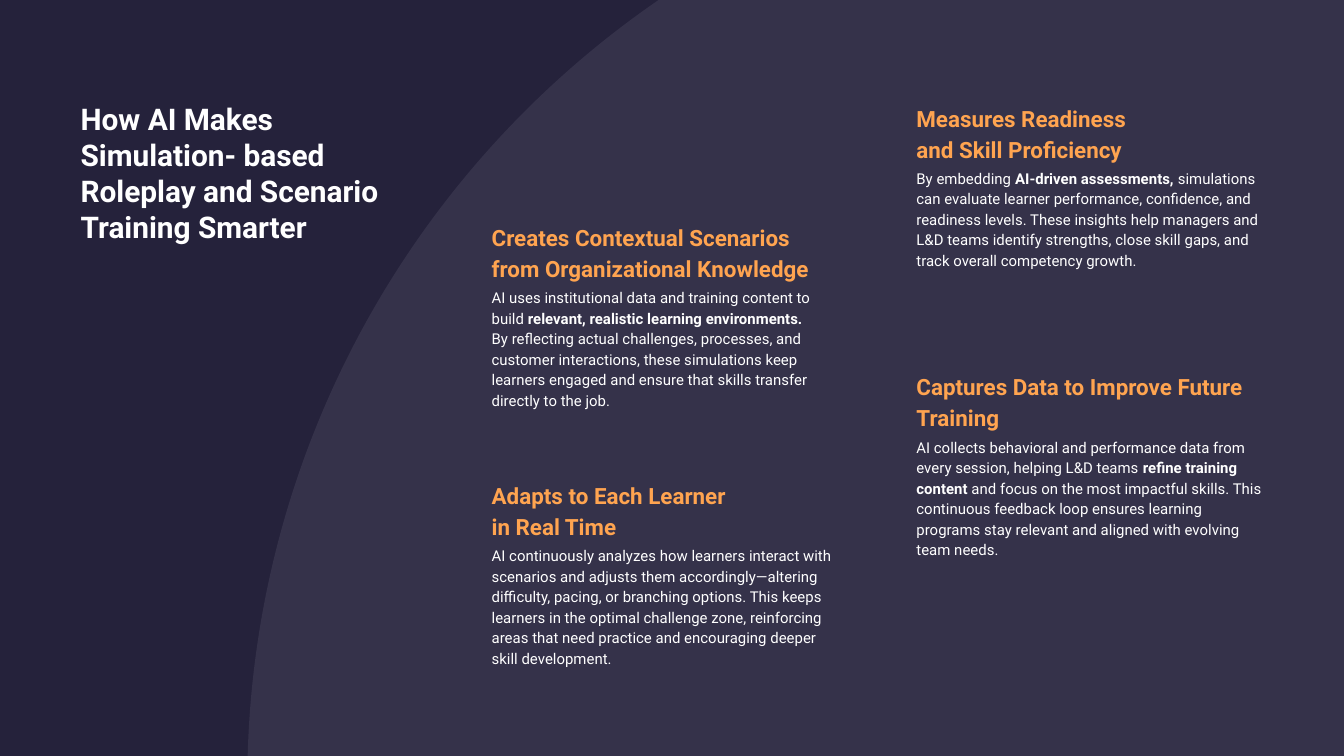
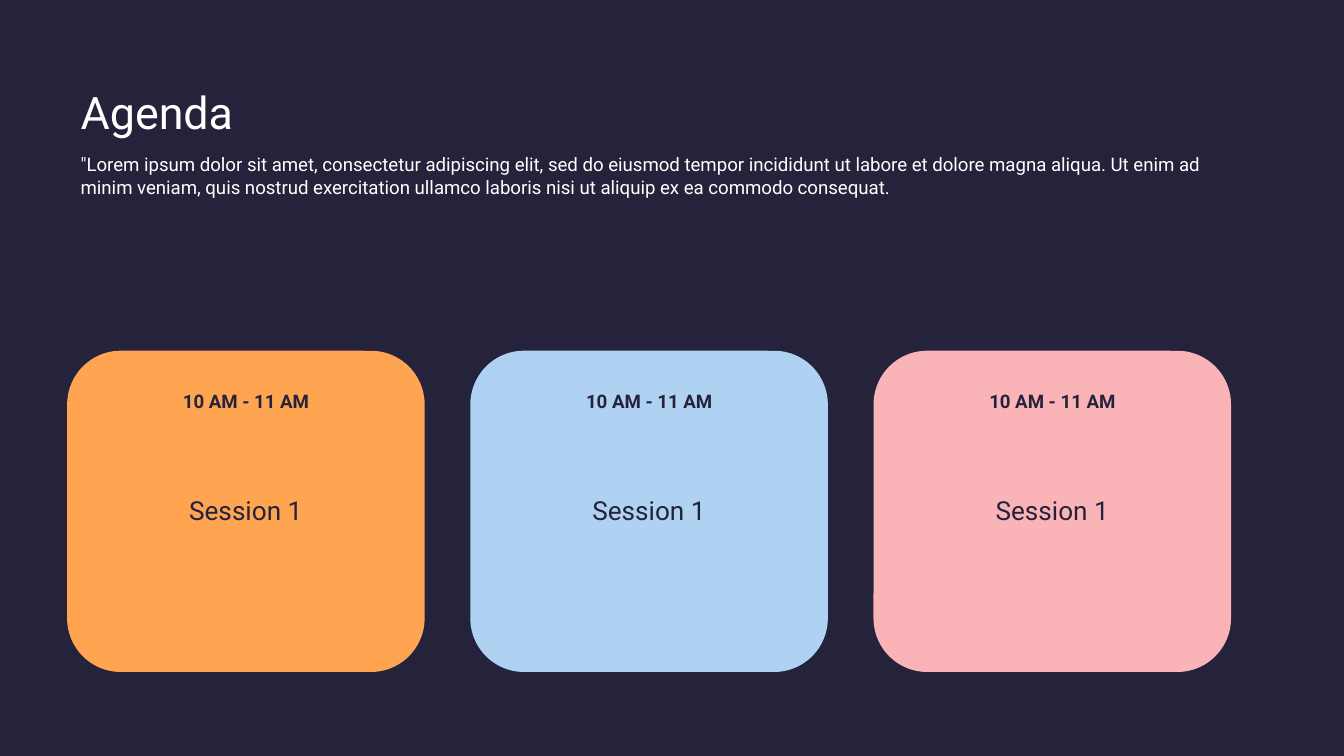
from pptx import Presentation
from pptx import util as u
from pptx.dml.color import RGBColor
from pptx.enum import shapes, text
from pptx.oxml.ns import qn

WIDTH = 10
HEIGHT = WIDTH * 9 / 16
MARGIN = 0.5
NAVY, PLUM, ORANGE = "25223B", "35324A", "FFA450"
BLUE, PINK, WHITE = "AFD2F3", "FAB4B8", "FFFFFF"

TITLE = {"size": 16, "color": WHITE, "bold": True}
HEADING = {"size": 12, "color": ORANGE, "bold": True, "spacing": 1.15}
BODY = {"size": 8, "color": WHITE, "spacing": 1.15}
AGENDA_TITLE = {"size": 24, "color": WHITE}
AGENDA_INTRO = {"size": 10, "color": WHITE}
CARD_TIME = {"size": 10, "color": NAVY, "bold": True, "align": text.PP_ALIGN.CENTER}
CARD_SESSION = {"size": 14, "color": NAVY, "align": text.PP_ALIGN.CENTER}

ROLEPLAY_TITLE = "How AI Makes Simulation- based Roleplay and Scenario Training Smarter"
# Each topic: column, top, body width and height, heading, body with **bold** parts
TOPICS = [
    (0, 1.54, (2.62, 1.11), "Creates Contextual Scenarios from Organizational Knowledge",
     "AI uses institutional data and training content to build **relevant, realistic "
     "learning environments.** By reflecting actual challenges, processes, and customer "
     "interactions, these simulations keep learners engaged and ensure that skills "
     "transfer directly to the job."),
    (1, 0.65, (2.78, 1.11), "Measures Readiness\nand Skill Proficiency",
     "By embedding **AI-driven assessments, **simulations can evaluate learner "
     "performance, confidence, and readiness levels. These insights help managers and "
     "L&D teams identify strengths, close skill gaps, and track overall competency growth."),
    (1, 2.65, (2.78, 1.11), "Captures Data to Improve Future Training",
     "AI collects behavioral and performance data from every session, helping L&D teams "
     "**refine training content** and focus on the most impactful skills. This continuous "
     "feedback loop ensures learning programs stay relevant and aligned with evolving "
     "team needs."),
    (0, 3.46, (2.78, 1.27), "Adapts to Each Learner\nin Real Time",
     "AI continuously analyzes how learners interact with scenarios and adjusts them "
     "accordingly—altering difficulty, pacing, or branching options. This keeps learners "
     "in the optimal challenge zone, reinforcing areas that need practice and encouraging "
     "deeper skill development."),
]
INTRO = ('"Lorem ipsum dolor sit amet, consectetur adipiscing elit, sed do eiusmod tempor '
         "incididunt ut labore et dolore magna aliqua. Ut enim ad minim veniam, quis nostrud "
         "exercitation ullamco laboris nisi ut aliquip ex ea commodo consequat.")
SESSIONS = [
    ("10 AM - 11 AM", "Session 1", ORANGE),
    ("10 AM - 11 AM", "Session 1", BLUE),
    ("10 AM - 11 AM", "Session 1", PINK),
]


def rgb(value):
    return RGBColor.from_string(value)


def inches(*values):
    return [u.Inches(value) for value in values]


def write(shape, content, style):
    """Fill a text shape: one paragraph per line, with **bold** parts."""
    frame = shape.text_frame
    settings = {
        "word_wrap": True,
        "auto_size": text.MSO_AUTO_SIZE.NONE,
        "vertical_anchor": text.MSO_ANCHOR.TOP,
    }
    settings |= {f"margin_{side}": u.Inches(0.1) for side in ("left", "top", "right", "bottom")}
    for name, value in settings.items():
        setattr(frame, name, value)

    for index, line in enumerate(content.split("\n")):
        paragraph = frame.add_paragraph() if index else frame.paragraphs[0]
        paragraph.alignment = style.get("align", text.PP_ALIGN.LEFT)
        paragraph.line_spacing = style.get("spacing", 1.0)
        paragraph.space_before = u.Pt(0)
        for part, words in enumerate(line.split("**")):
            run = paragraph.add_run()
            run.text = words
            font = {"name": "Roboto", "size": u.Pt(style["size"]),
                    "bold": style.get("bold", False) or part % 2 == 1}
            for name, value in font.items():
                setattr(run.font, name, value)
            run.font.color.rgb = rgb(style["color"])


def add_text(slide, box, content, style):
    write(slide.shapes.add_textbox(*inches(*box)), content, style)


def fill_placeholder(placeholder, box, content, style):
    placeholder.left, placeholder.top, placeholder.width, placeholder.height = inches(*box)
    write(placeholder, content, style)


def add_filled(slide, kind, box, color):
    shape = slide.shapes.add_shape(kind, *inches(*box))
    shape.shadow.inherit = False
    shape.fill.solid()
    shape.fill.fore_color.rgb = rgb(color)
    shape.line.fill.background()
    return shape


def add_slide(presentation, layout, background):
    slide = presentation.slides.add_slide(presentation.slide_layouts[layout])
    slide.background.fill.solid()
    slide.background.fill.fore_color.rgb = rgb(background)
    return slide


def build_roleplay(presentation):
    slide = add_slide(presentation, 5, WHITE)
    panel = add_filled(slide, shapes.MSO_SHAPE.RECTANGLE, (-0.06, -0.11, 7.65, 5.77), NAVY)
    circle = add_filled(slide, shapes.MSO_SHAPE.OVAL, (1.84, -1.24, 14.11, 14.11), PLUM)
    for position, backdrop in enumerate((panel, circle), start=2):  # behind the title
        slide.shapes.element.insert(position, backdrop.element)
    fill_placeholder(slide.shapes.title, (MARGIN, 0.65, 2.69, 1.28), ROLEPLAY_TITLE, TITLE)

    first_column, column_step = 3.56, 3.16
    body_offset = 0.49
    for column, top, body_size, heading, body in TOPICS:
        left = first_column + column * column_step
        add_text(slide, (left, top + body_offset, *body_size), body, BODY)
        add_text(slide, (left, top, 2.78, 0.64), heading, HEADING)


def build_agenda(presentation):
    slide = add_slide(presentation, 1, NAVY)
    fill_placeholder(slide.shapes.title, (MARGIN, 0.53, 1.48, 0.52), "Agenda", AGENDA_TITLE)
    intro = slide.placeholders[1]
    properties = intro.text_frame.paragraphs[0]._p.get_or_add_pPr()
    properties.set("marL", "0")
    properties.set("indent", "0")
    properties.append(properties.makeelement(qn("a:buNone"), {}))
    fill_placeholder(intro, (MARGIN, 1.04, 8.65, 0.54), INTRO, AGENDA_INTRO)

    card_top, card_width, card_height, card_step = 2.61, 2.66, 2.39, 3
    label_width = 1.14
    for index, (time, session, color) in enumerate(SESSIONS):
        left = MARGIN + index * card_step
        card = add_filled(slide, shapes.MSO_SHAPE.ROUNDED_RECTANGLE,
                          (left, card_top, card_width, card_height), color)
        card.adjustments[0] = 0.167
        label_left = left + (card_width - label_width) / 2
        add_text(slide, (label_left, card_top + 0.97, label_width, 0.44), session, CARD_SESSION)
        add_text(slide, (label_left, card_top + 0.19, label_width, 0.37), time, CARD_TIME)


def main():
    presentation = Presentation()
    presentation.slide_width, presentation.slide_height = inches(WIDTH, HEIGHT)
    build_roleplay(presentation)
    build_agenda(presentation)
    presentation.save("out.pptx")


if __name__ == "__main__":
    main()
